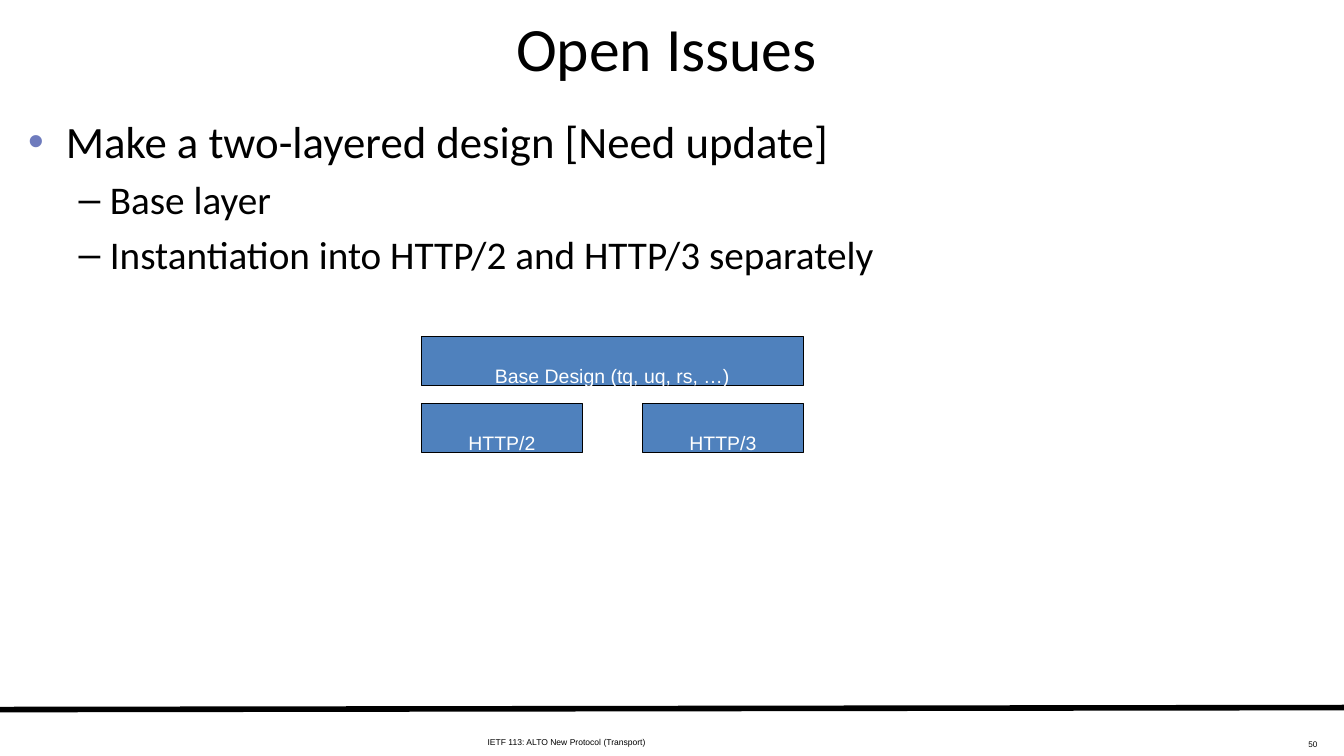
from lxml.etree import SubElement
from pptx import Presentation
from pptx.dml.color import RGBColor
from pptx.enum.shapes import MSO_CONNECTOR, MSO_SHAPE
from pptx.enum.text import MSO_ANCHOR as ANCHOR, MSO_AUTO_SIZE as FIT, PP_ALIGN as ALIGN
from pptx.oxml.ns import qn
from pptx.util import Cm, Pt

BLACK, WHITE, BLUE, BULLET = "000000", "FFFFFF", "4F81BD", "6E7BBD"
BODY_LEVELS = {
    0: {"size": 32, "char": "•", "color": BULLET, "left": 0.95, "hang": 0.95},
    1: {"size": 28, "char": "–", "color": BLACK, "left": 2.06, "hang": 0.79},
}


def rgb(value):
    return RGBColor.from_string(value)


def apply(obj, **values):
    for name, value in values.items():
        setattr(obj, name, value)


def add_run(p, text, size, font="Arial", color=BLACK, sub=False):
    r = p.add_run()
    r.text = text
    apply(r.font, size=Pt(size), name=font)
    r.font.color.rgb = rgb(color)
    if sub:
        r.font._element.set("baseline", "-25000")
    return r


def add_text(s, box, **frame):
    sp = s.shapes.add_textbox(*map(Cm, box))
    apply(sp.text_frame, **{"word_wrap": True, "auto_size": FIT.NONE, **frame})
    return sp.text_frame


def add_text_shadow(r):
    rpr = r.font._element
    effects = rpr.makeelement(qn("a:effectLst"), {})
    rpr.find(qn("a:solidFill")).addnext(effects)
    shadow = SubElement(effects, qn("a:outerShdw"), blurRad="38100",
                        dist="38100", dir="2700000", algn="tl")
    SubElement(shadow, qn("a:srgbClr"), val="C0C0C0")


def add_title(s, box, text):
    p = add_text(s, box, vertical_anchor=ANCHOR.MIDDLE).paragraphs[0]
    p.alignment = ALIGN.CENTER
    add_text_shadow(add_run(p, text, 44, "Calibri"))


def set_bullet(p, level):
    ppr = p._p.get_or_add_pPr()
    ppr.set("marL", str(Cm(level["left"])))
    ppr.set("indent", str(-Cm(level["hang"])))
    before = SubElement(ppr, qn("a:spcBef"))
    SubElement(before, qn("a:spcPct"), val="20000")
    color = SubElement(ppr, qn("a:buClr"))
    SubElement(color, qn("a:srgbClr"), val=level["color"])
    SubElement(ppr, qn("a:buFont"), typeface="Arial")
    SubElement(ppr, qn("a:buChar"), char=level["char"])


def add_body(s, box, items):
    tf = add_text(s, box)
    for i, (depth, text) in enumerate(items):
        p = tf.add_paragraph() if i else tf.paragraphs[0]
        p.level = depth
        set_bullet(p, BODY_LEVELS[depth])
        add_run(p, text, BODY_LEVELS[depth]["size"], "Calibri")


def add_block(s, box, text):
    sp = s.shapes.add_shape(MSO_SHAPE.RECTANGLE, *map(Cm, box))
    sp.shadow.inherit = False
    sp.fill.solid()
    sp.fill.fore_color.rgb = rgb(BLUE)
    sp.line.color.rgb = rgb(BLACK)
    sp.line.width = Pt(0.75)
    apply(sp.text_frame, word_wrap=True, vertical_anchor=ANCHOR.TOP)
    p = sp.text_frame.paragraphs[0]
    p.alignment = ALIGN.CENTER
    add_run(p, text, 24, color=WHITE, sub=True)


def add_layers(s, box, base, instances):
    x, y, w, h = box
    block_w, block_h = 4.06, 1.24
    add_block(s, (x, y, w, block_h), base)
    step = (w - block_w) / (len(instances) - 1)
    for i, text in enumerate(instances):
        add_block(s, (x + i * step, y + h - block_h, block_w, block_h), text)


def add_footer(s, box, text, number):
    x, y, w, h = box
    cn = s.shapes.add_connector(MSO_CONNECTOR.STRAIGHT,
                                Cm(x), Cm(y + 0.05), Cm(x + w), Cm(y))
    cn.line.color.rgb = rgb(BLACK)
    cn.line.width = Pt(4)
    SubElement(cn._element.spPr, qn("a:effectLst"))
    tf = add_text(s, (x + 12.04, y + 0.36, 7.52, 0.71),
                  word_wrap=False, auto_size=FIT.SHAPE_TO_FIT_TEXT)
    add_run(tf.paragraphs[0], text, 10.5, sub=True)
    p = add_text(s, (x + w - 7.48, y + 0.43, 7.06, 0.84)).paragraphs[0]
    p.alignment = ALIGN.RIGHT
    add_run(p, number, 10, sub=True)


def main():
    prs = Presentation()
    apply(prs, slide_width=Cm(33.87), slide_height=Cm(19.05))
    s = prs.slides.add_slide(prs.slide_layouts[6])
    add_footer(s, (0, 17.83, 33.87, 1.22), "IETF 113: ALTO New Protocol (Transport)", "50")
    add_title(s, (0.94, 0.23, 31.72, 1.9), "Open Issues")
    add_body(s, (0.46, 2.74, 32.79, 14.81), [
        (0, "Make a two-layered design [Need update]"),
        (1, "Base layer"),
        (1, "Instantiation into HTTP/2 and HTTP/3 separately"),
    ])
    add_layers(s, (10.62, 8.48, 9.63, 2.92),
               "Base Design (tq, uq, rs, …)", ["HTTP/2", "HTTP/3"])
    prs.save("out.pptx")


if __name__ == "__main__":
    main()
